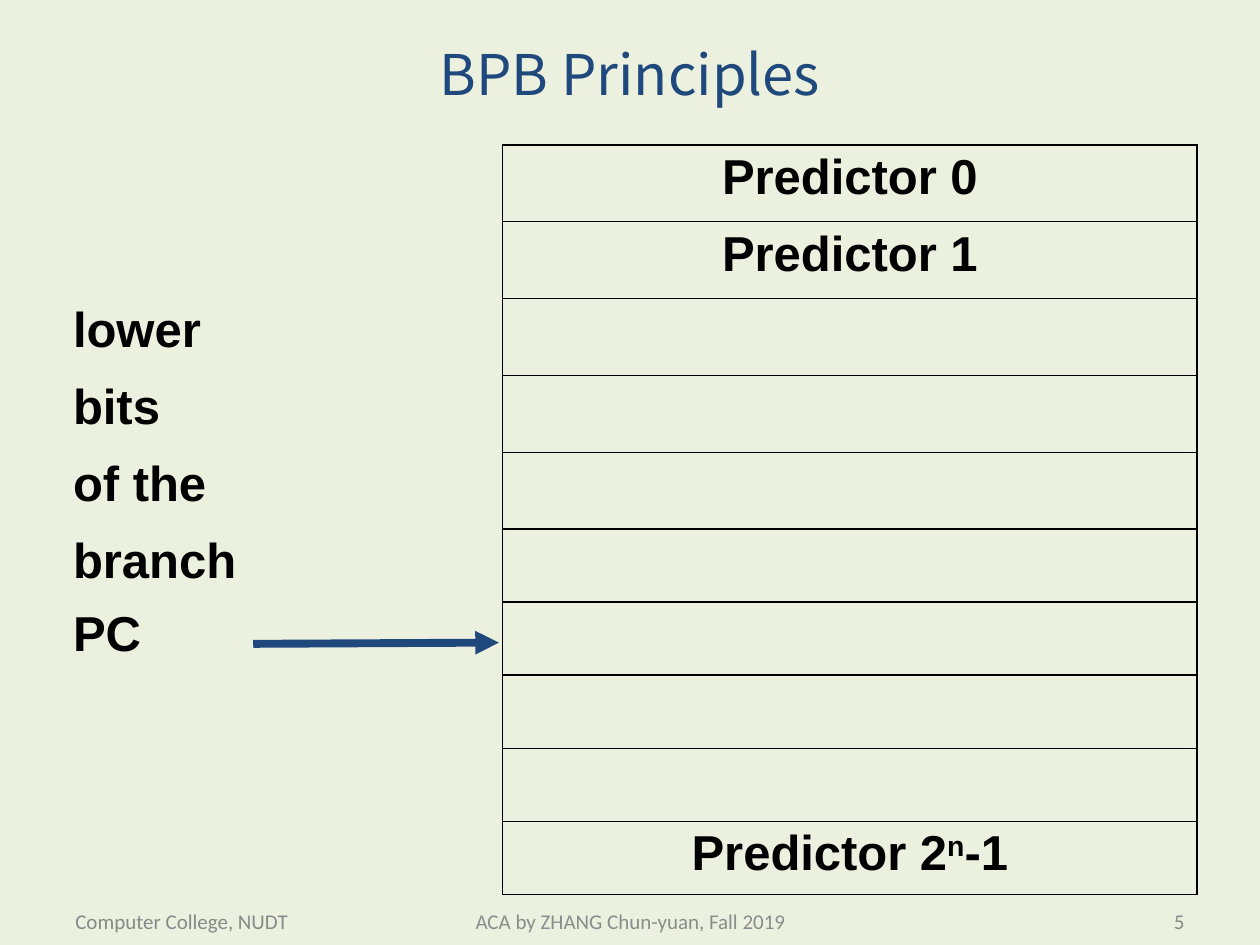
from pptx import Presentation
from pptx.dml.color import RGBColor
from pptx.enum.shapes import MSO_CONNECTOR
from pptx.enum.text import MSO_ANCHOR, PP_ALIGN
from pptx.oxml.ns import qn
from pptx.util import Inches, Pt
from lxml import etree

LEFT, CENTER, RIGHT = PP_ALIGN.LEFT, PP_ALIGN.CENTER, PP_ALIGN.RIGHT
MIDDLE = MSO_ANCHOR.MIDDLE
STRAIGHT = MSO_CONNECTOR.STRAIGHT
TITLE_ONLY = 5

COLORS = {
    "background": "EBF1DE",
    "navy": "1F497D",
    "black": "000000",
    "footer": "898989",
    "footer center": "8C8C8C",
}
COLUMN_WIDTHS = [3.49, 5.51]
ROW_HEIGHTS = [0.61] * 5 + [0.58] * 5
PC_LABELS = {2: "lower", 3: "bits", 4: "of the", 5: "branch", 6: "PC"}
PREDICTORS = {
    0: [("Predictor 0", 0)],
    1: [("Predictor 1", 0)],
    9: [("Predictor 2", 0), ("n", 30), ("-1", 0)],
}
FOOTERS = [
    (0.5, 2.33, "Computer College, NUDT", LEFT, "footer"),
    (3.42, 3.17, "ACA by ZHANG Chun-yuan, Fall 2019", CENTER, "footer center"),
    (7.17, 2.33, "5", RIGHT, "footer"),
]


def rgb(name):
    return RGBColor.from_string(COLORS[name])


def add_run(paragraph, text, font_name, size, color, bold=False, raised=0):
    """Append a run; raised is the superscript offset in percent."""
    run = paragraph.add_run()
    run.text = text
    font = run.font
    font.name, font.size, font.bold = font_name, Pt(size), bold
    font.color.rgb = rgb(color)
    properties = run._r.get_or_add_rPr()
    if raised:
        properties.set("baseline", str(raised * 1000))
    east_asian = etree.SubElement(properties, qn("a:ea"))
    east_asian.set("typeface", font_name)


def add_title(slide, text):
    title = slide.shapes.title
    title.left, title.top = Inches(0.5), Inches(0.19)
    title.width, title.height = Inches(9), Inches(0.78)
    title.text_frame.vertical_anchor = MIDDLE
    paragraph = title.text_frame.paragraphs[0]
    paragraph.alignment = CENTER
    add_run(paragraph, text, "Noto Sans CJK SC", 32, "navy")


def add_footer(slide, left, width, text, alignment, color):
    box = slide.shapes.add_textbox(
        Inches(left), Inches(7.11), Inches(width), Inches(0.4))
    frame = box.text_frame
    frame.word_wrap = True
    frame.vertical_anchor = MIDDLE
    paragraph = frame.paragraphs[0]
    paragraph.alignment = alignment
    add_run(paragraph, text, "Calibri", 12, color)


def style_cell(cell, black_sides):
    """Leave the cell unfilled and draw only the given sides in black."""
    properties = cell._tc.get_or_add_tcPr()
    for side in "LRTB":
        line = etree.SubElement(properties, qn(f"a:ln{side}"), w=str(Pt(1)))
        if side in black_sides:
            fill = etree.SubElement(line, qn("a:solidFill"))
            etree.SubElement(fill, qn("a:srgbClr"), val=COLORS["black"])
        else:
            etree.SubElement(line, qn("a:noFill"))
    cell.fill.background()
    cell.margin_left = cell.margin_right = Inches(0.08)
    cell.margin_top = cell.margin_bottom = Inches(0.04)


def write_cell(cell, pieces, alignment):
    paragraph = cell.text_frame.paragraphs[0]
    paragraph.alignment = alignment
    for text, raised in pieces:
        add_run(paragraph, text, "Arial", 28, "black", True, raised)


def add_predictor_table(slide):
    frame = slide.shapes.add_table(
        len(ROW_HEIGHTS), len(COLUMN_WIDTHS), Inches(0.5), Inches(1.15),
        Inches(sum(COLUMN_WIDTHS)), Inches(sum(ROW_HEIGHTS)))
    table = frame.table
    table.first_row = table.horz_banding = False
    for column, width in zip(table.columns, COLUMN_WIDTHS):
        column.width = Inches(width)
    for index, height in enumerate(ROW_HEIGHTS):
        table.rows[index].height = Inches(height)
        label_cell, predictor_cell = table.cell(index, 0), table.cell(index, 1)
        style_cell(label_cell, "R")
        style_cell(predictor_cell, "LRTB")
        if index in PC_LABELS:
            write_cell(label_cell, [(PC_LABELS[index], 0)], LEFT)
        if index in PREDICTORS:
            write_cell(predictor_cell, PREDICTORS[index], CENTER)


def add_arrow(slide, start, end):
    arrow = slide.shapes.add_connector(
        STRAIGHT, *(Inches(value) for value in start + end))
    arrow.line.color.rgb = rgb("navy")
    arrow.line.width = Pt(4.5)
    etree.SubElement(arrow.line._get_or_add_ln(), qn("a:tailEnd"), type="triangle")
    etree.SubElement(arrow._element.spPr, qn("a:effectLst"))


def main():
    presentation = Presentation()
    presentation.slide_width = Inches(10)
    presentation.slide_height = Inches(7.5)
    slide = presentation.slides.add_slide(presentation.slide_layouts[TITLE_ONLY])
    background = slide.background.fill
    background.solid()
    background.fore_color.rgb = rgb("background")

    add_title(slide, "BPB Principles")
    for footer in FOOTERS:
        add_footer(slide, *footer)
    add_predictor_table(slide)
    add_arrow(slide, (2.01, 5.11), (3.96, 5.1))
    presentation.save("out.pptx")


if __name__ == "__main__":
    main()
